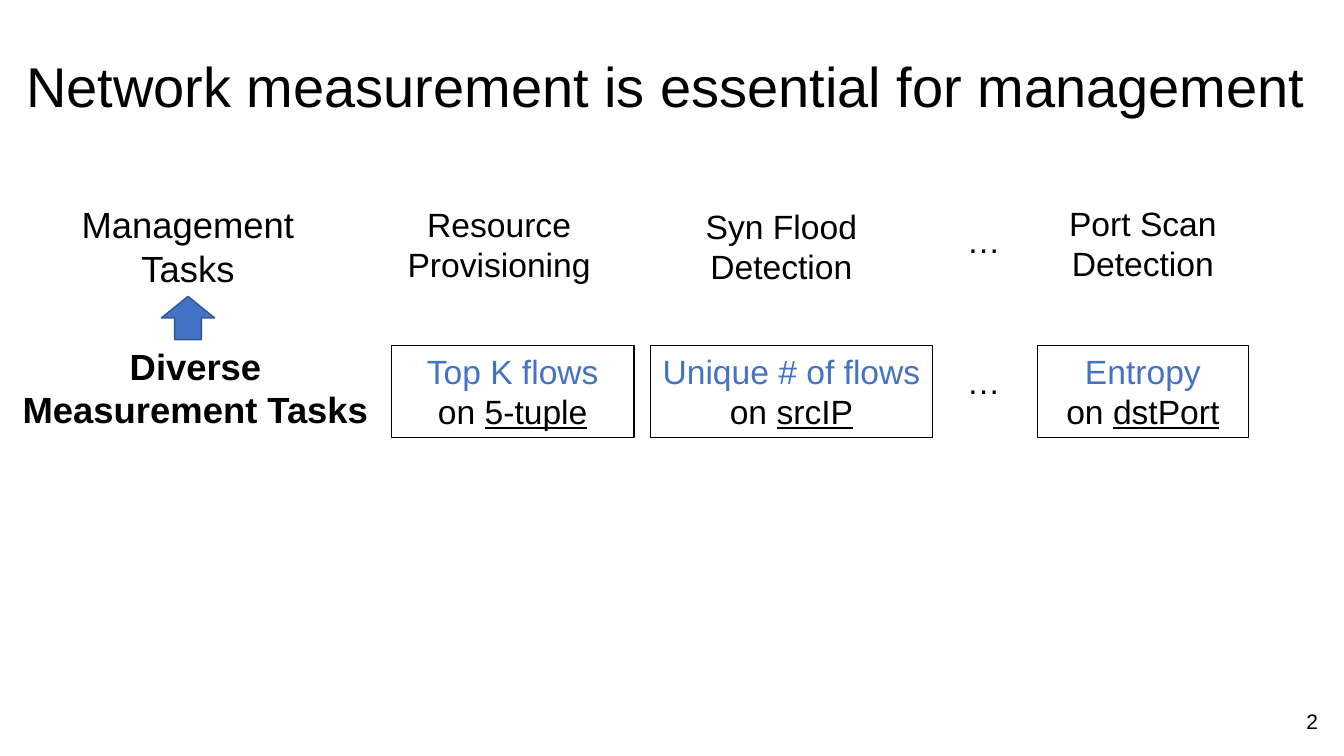
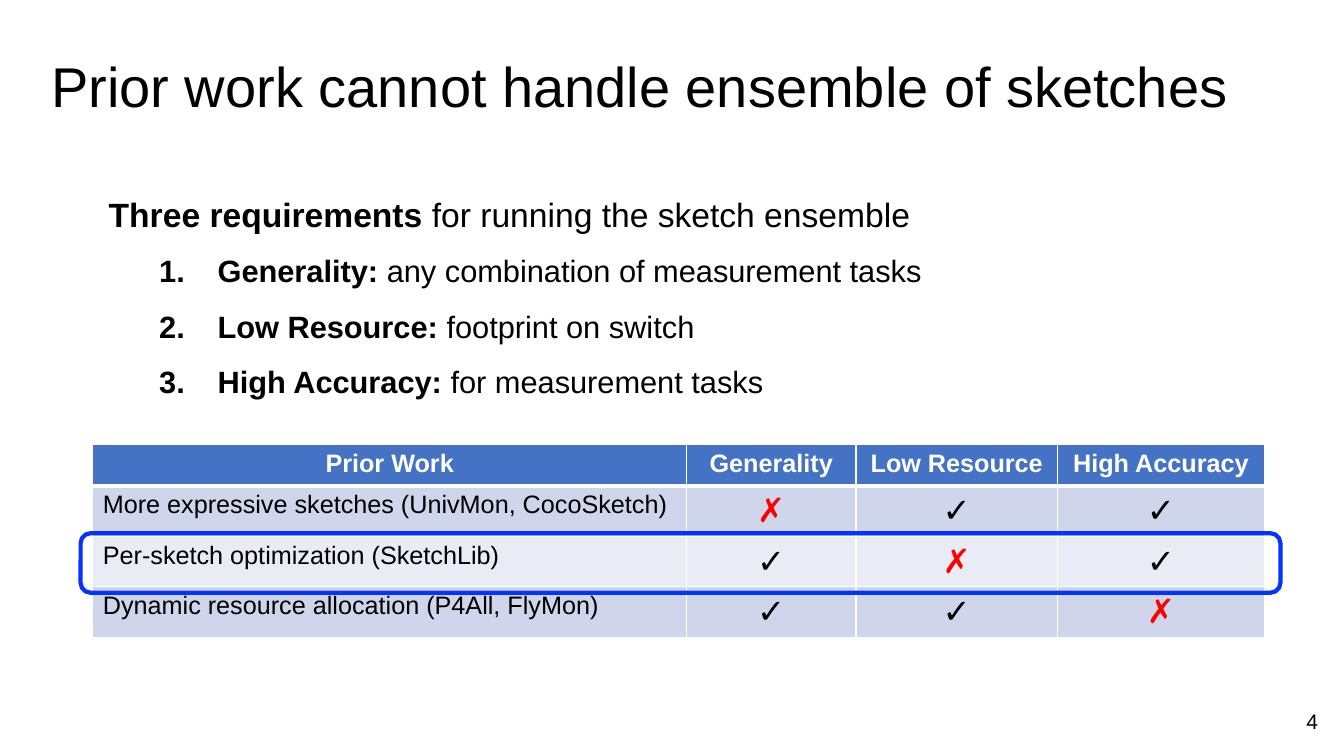
"""Build two slides on network measurement tasks and the limits of prior sketch work."""
from lxml import etree
from pptx import Presentation
from pptx.dml.color import RGBColor
from pptx.enum.shapes import MSO_SHAPE
from pptx.enum.text import MSO_ANCHOR, PP_ALIGN
from pptx.oxml.ns import qn
from pptx.util import Inches, Pt

RECTANGLE, ROUNDED, UP_ARROW = MSO_SHAPE.RECTANGLE, MSO_SHAPE.ROUNDED_RECTANGLE, MSO_SHAPE.UP_ARROW
LEFT, CENTER, RIGHT = PP_ALIGN.LEFT, PP_ALIGN.CENTER, PP_ALIGN.RIGHT
TOP, MIDDLE = MSO_ANCHOR.TOP, MSO_ANCHOR.MIDDLE

FONT = "Arial"
BLACK, WHITE, RED = "000000", "FFFFFF", "FF0000"
ACCENT, ARROW_EDGE, HIGHLIGHT = "4472C4", "325491", "0432FF"
BANDS = ("CFD5EA", "E9EBF5")
SLIDE_WIDTH, SLIDE_HEIGHT = 13.33, 7.5

TASKS_TITLE = "Network measurement is essential for management"
TASKS = [
    {"management": ["Resource", "Provisioning"], "metric": "Top K flows", "key": "5-tuple",
     "label": (3.62, 1.97, 2.66), "box": (3.88, 2.41)},
    {"management": ["Syn Flood Detection"], "metric": "Unique # of flows", "key": "srcIP",
     "label": (6.25, 1.99, 3), "box": (6.45, 2.8)},
    {"management": ["Port Scan Detection"], "metric": "Entropy", "key": "dstPort",
     "label": (10.23, 1.96, 2.21), "box": (10.29, 2.09)},
]
ROW_HEADS = [
    (["Management Tasks"], False, (0.57, 1.96, 2.59, 0.98)),
    (["Diverse", "Measurement Tasks"], True, (0, 3.36, 3.88, 0.98)),
]
ELLIPSIS_LEFT, ELLIPSIS_TOPS = 9.49, (2.13, 3.53)
TASK_HEIGHT, BOX_TOP = 0.91, 3.43
ARROW_PLACE = (1.6, 2.94, 0.53, 0.43)

PRIOR_TITLE = "Prior work cannot handle ensemble of sketches"
REQUIREMENTS_LEAD = ("Three requirements", " for running the sketch ensemble")
REQUIREMENTS = [
    ("Generality:", " any combination of measurement tasks"),
    ("Low Resource:", " footprint on switch"),
    ("High Accuracy:", " for measurement tasks"),
]
REQUIREMENTS_PLACE = (0.98, 1.67, 11.62, 2.3)
TABLE_HEAD = ["Prior Work", "Generality", "Low Resource", "High Accuracy"]
PRIOR_WORK = [
    ("More expressive sketches (UnivMon, CocoSketch)", "✗", "✓", "✓"),
    ("Per-sketch optimization (SketchLib)", "✓", "✗", "✓"),
    ("Dynamic resource allocation (P4All, FlyMon)", "✓", "✓", "✗"),
]
TABLE_LEFT, TABLE_TOP = 0.92, 4.41
COLUMN_WIDTHS = (5.89, 1.68, 2, 2.05)
HEAD_HEIGHT, ROW_HEIGHT = 0.41, 0.5
HIGHLIGHT_PLACE = (0.8, 5.29, 11.9, 0.59)


def color(value):
    return RGBColor.from_string(value)


def inches(place):
    return [Inches(length) for length in place]


def run(text, size=24, fill=BLACK, bold=False, underline=False):
    return {"text": text, "size": size, "fill": fill, "bold": bold, "underline": underline}


def write(frame, paragraphs, align=LEFT, anchor=TOP, spacing=1.0):
    frame.word_wrap = True
    frame.vertical_anchor = anchor
    for index, runs in enumerate(paragraphs):
        paragraph = frame.add_paragraph() if index else frame.paragraphs[0]
        paragraph.alignment = align
        paragraph.line_spacing = spacing
        for style in runs:
            piece = paragraph.add_run()
            piece.text = style["text"]
            font = piece.font
            font.name, font.size = FONT, Pt(style["size"])
            font.bold, font.underline = style["bold"], style["underline"]
            font.color.rgb = color(style["fill"])


def add_text(slide, place, paragraphs, **layout):
    frame = slide.shapes.add_textbox(*inches(place)).text_frame
    write(frame, paragraphs, **layout)
    return frame


def add_shape(slide, kind, place, line, width=1, fill=None):
    shape = slide.shapes.add_shape(kind, *inches(place))
    shape.shadow.inherit = False
    if fill:
        shape.fill.solid()
        shape.fill.fore_color.rgb = color(fill)
    else:
        shape.fill.background()
    shape.line.color.rgb = color(line)
    shape.line.width = Pt(width)
    return shape


def add_slide(presentation, title, number, margin):
    slide = presentation.slides.add_slide(presentation.slide_layouts[6])
    add_text(slide, (margin, 0.4, SLIDE_WIDTH - margin, 0.97), [[run(title, 40)]],
             anchor=MIDDLE, spacing=0.9)
    add_text(slide, (10.17, 6.95, 3, 0.4), [[run(str(number), 15)]], align=RIGHT, anchor=MIDDLE)
    return slide


def number_paragraph(paragraph, indent=1.08, hanging=0.58):
    paragraph.level = 1
    properties = paragraph._p.get_or_add_pPr()
    properties.set("marL", str(Inches(indent)))
    properties.set("indent", str(-Inches(hanging)))
    bullet_font = etree.SubElement(properties, qn("a:buFont"))
    bullet_font.set("typeface", FONT)
    etree.SubElement(properties, qn("a:buAutoNum")).set("type", "arabicPeriod")


def style_cell(cell, fill, top, bottom):
    properties = cell._tc.get_or_add_tcPr()
    for side, width in {"L": 1, "R": 1, "T": top, "B": bottom}.items():
        border = etree.SubElement(properties, qn("a:ln" + side), w=str(Pt(width)))
        paint = etree.SubElement(border, qn("a:solidFill"))
        etree.SubElement(paint, qn("a:srgbClr"), val=WHITE)
    cell.fill.solid()
    cell.fill.fore_color.rgb = color(fill)


def add_prior_work_table(slide):
    heights = [HEAD_HEIGHT] + [ROW_HEIGHT] * len(PRIOR_WORK)
    place = (TABLE_LEFT, TABLE_TOP, sum(COLUMN_WIDTHS), sum(heights))
    table = slide.shapes.add_table(len(heights), len(COLUMN_WIDTHS), *inches(place)).table
    for column, width in zip(table.columns, COLUMN_WIDTHS):
        column.width = Inches(width)
    for row, height in zip(table.rows, heights):
        row.height = Inches(height)
    for row, texts in enumerate([TABLE_HEAD, *PRIOR_WORK]):
        for column, text in enumerate(texts):
            cell = table.cell(row, column)
            style_cell(cell, BANDS[(row - 1) % 2] if row else ACCENT,
                       top=3 if row == 1 else 1, bottom=1 if row else 3)
            is_mark = row > 0 and column > 0
            if row == 0:
                style = run(text, 18, WHITE, bold=True)
            elif is_mark:
                style = run(text, 24, RED if text == "✗" else BLACK, bold=text == "✓")
            else:
                style = run(text, 18)
            write(cell.text_frame, [[style]], align=CENTER if is_mark or row == 0 else LEFT)
            cell.vertical_anchor = MIDDLE if is_mark else TOP


def build_tasks_slide(presentation):
    slide = add_slide(presentation, TASKS_TITLE, 2, margin=0.16)
    for task in TASKS:
        add_text(slide, (*task["label"], TASK_HEIGHT),
                 [[run(line)] for line in task["management"]], align=CENTER)
        left, width = task["box"]
        box = add_shape(slide, RECTANGLE, (left, BOX_TOP, width, TASK_HEIGHT), BLACK, fill=WHITE)
        write(box.text_frame, [[run(task["metric"], fill=ACCENT)],
                               [run("on "), run(task["key"], underline=True)]], align=CENTER)
    for lines, bold, place in ROW_HEADS:
        add_text(slide, place, [[run(line, 26, bold=bold)] for line in lines], align=CENTER)
    for top in ELLIPSIS_TOPS:
        add_text(slide, (ELLIPSIS_LEFT, top, 0.81, 0.5), [[run("…")]])
    add_shape(slide, UP_ARROW, ARROW_PLACE, ARROW_EDGE, fill=ACCENT)


def build_prior_work_slide(presentation):
    slide = add_slide(presentation, PRIOR_TITLE, 4, margin=0.41)
    lines = [(24, REQUIREMENTS_LEAD)] + [(22, requirement) for requirement in REQUIREMENTS]
    frame = add_text(slide, REQUIREMENTS_PLACE,
                     [[run(name, size, bold=True), run(detail, size)]
                      for size, (name, detail) in lines], spacing=1.5)
    for paragraph in frame.paragraphs[1:]:
        number_paragraph(paragraph)
    add_prior_work_table(slide)
    add_shape(slide, ROUNDED, HIGHLIGHT_PLACE, HIGHLIGHT, width=3)


def main():
    presentation = Presentation()
    presentation.slide_width, presentation.slide_height = inches((SLIDE_WIDTH, SLIDE_HEIGHT))
    build_tasks_slide(presentation)
    build_prior_work_slide(presentation)
    presentation.save("out.pptx")


main()
